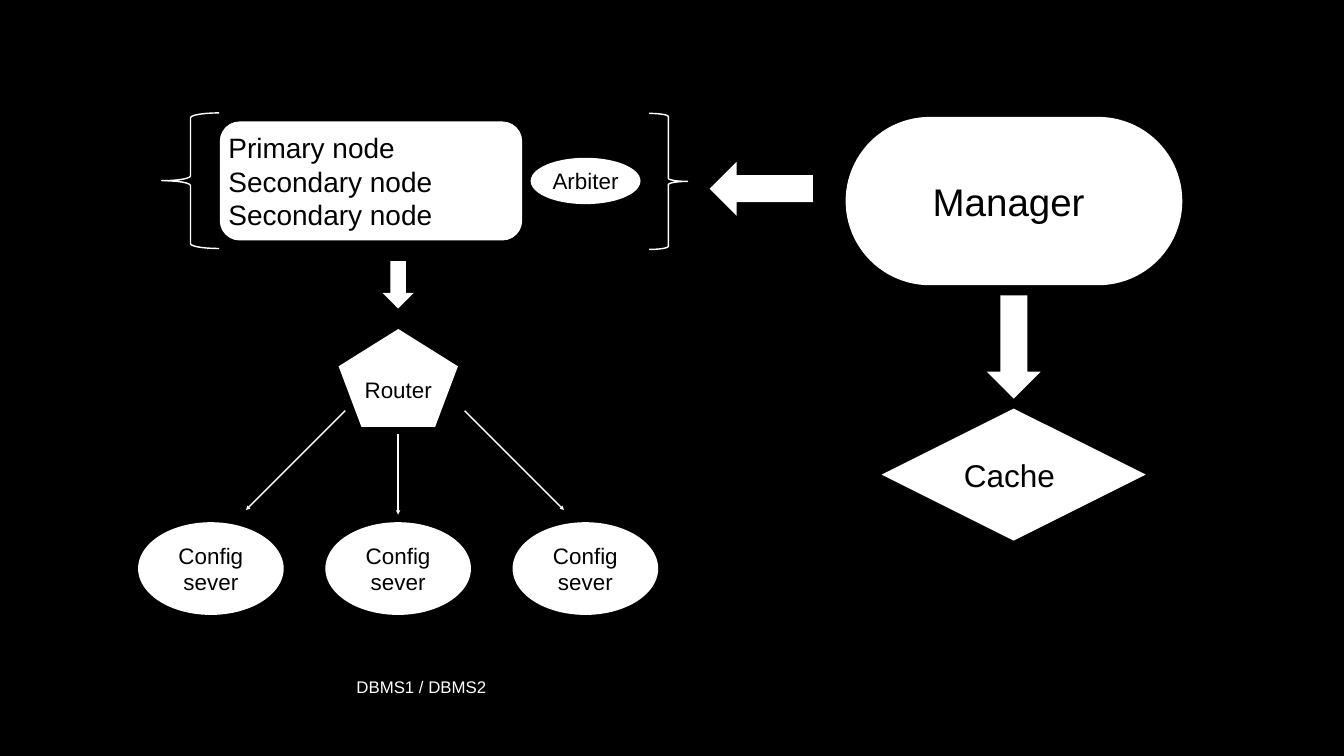
from dataclasses import dataclass

from lxml.etree import SubElement
from pptx import Presentation
from pptx.dml.color import RGBColor as RGB
from pptx.enum.shapes import MSO_CONNECTOR as Conn, MSO_SHAPE as Shape
from pptx.enum.text import MSO_ANCHOR as Anchor, PP_ALIGN as Align
from pptx.oxml.ns import qn
from pptx.slide import Slide
from pptx.util import Pt


@dataclass(frozen=True)
class Theme:
    font: str = "Arial"
    dark: RGB = RGB(0, 0, 0)
    light: RGB = RGB(255, 255, 255)
    manager: int = 55
    store: int = 45
    nodes: int = 40
    label: int = 32
    caption: int = 24
    stroke: int = 2
    inset: int = 4


@dataclass(frozen=True)
class Node:
    kind: Shape
    left: float
    top: float
    width: float
    height: float
    text: str = ""
    size: int = 0
    align: Align = Align.CENTER
    round: float | None = None
    rotation: int = 0
    outline: bool = False


@dataclass(frozen=True)
class Arrow:
    x1: float
    y1: float
    x2: float
    y2: float


THEME = Theme()

AXIS = 568.8
CONFIG_STEP, CONFIG_W = 267.5, 208
CONFIGS = [
    Node(Shape.OVAL, AXIS + i * CONFIG_STEP - CONFIG_W / 2, 746, CONFIG_W, 132.5,
         "Config sever", THEME.label)
    for i in (-1, 0, 1)
]

NODES = CONFIGS + [
    Node(Shape.REGULAR_PENTAGON, 483.7, 470, 170.6, 139.7, "Router", THEME.label),
    Node(Shape.ROUNDED_RECTANGLE, 1208, 167, 481, 240.5, "Manager ", THEME.manager, round=0.5),
    Node(Shape.DIAMOND, 1259.5, 583.7, 377.3, 188.6, "Cache ", THEME.store),
    Node(Shape.ROUNDED_RECTANGLE, 314, 173.5, 432, 170,
         "Primary node\nSecondary node\nSecondary node", THEME.nodes, Align.LEFT),
    Node(Shape.OVAL, 758, 225.4, 157, 66.2, "Arbiter", THEME.label),
    Node(Shape.DOWN_ARROW, 546.5, 373, 44.6, 67.7),
    Node(Shape.LEFT_BRACE, 231.1, 161.3, 82.1, 193.7, outline=True),
    Node(Shape.RIGHT_BRACE, 927.4, 162, 54.7, 194.4, outline=True),
    Node(Shape.DOWN_ARROW, 1049, 195.8, 77, 147.6, rotation=90),
    Node(Shape.DOWN_ARROW, 1409.8, 421.9, 77, 147.6),
]

ARROWS = [
    Arrow(493.2, 586.8, 351.4, 728.6),
    Arrow(AXIS, 620.6, AXIS, 735.1),
    Arrow(663.8, 586.8, 805.7, 728.6),
]


def write(sp, text: str, size: int, color: RGB, align: Align) -> None:
    tf = sp.text_frame
    inset = Pt(THEME.inset)
    frame = {"word_wrap": True, "vertical_anchor": Anchor.MIDDLE,
             "margin_left": inset, "margin_right": inset,
             "margin_top": inset, "margin_bottom": inset}
    for name, value in frame.items():
        setattr(tf, name, value)
    tf.text = text
    for p in tf.paragraphs:
        p.alignment = align
        for r in p.runs:
            for name, value in {"name": THEME.font, "size": Pt(size)}.items():
                setattr(r.font, name, value)
            r.font.color.rgb = color


def draw_node(s: Slide, node: Node) -> None:
    box = map(Pt, (node.left, node.top, node.width, node.height))
    sp = s.shapes.add_shape(node.kind, *box)
    sp.shadow.inherit = False
    sp.rotation = node.rotation
    if node.round is not None:
        sp.adjustments[0] = node.round
    if node.outline:
        sp.fill.background()
        sp.line.color.rgb = THEME.light
        sp.line.width = Pt(THEME.stroke)
    else:
        sp.fill.solid()
        sp.fill.fore_color.rgb = THEME.light
        sp.line.fill.background()
    if node.text:
        write(sp, node.text, node.size, THEME.dark, node.align)


def draw_arrow(s: Slide, arrow: Arrow) -> None:
    ends = map(Pt, (arrow.x1, arrow.y1, arrow.x2, arrow.y2))
    cxn = s.shapes.add_connector(Conn.STRAIGHT, *ends)
    cxn.line.color.rgb = THEME.light
    cxn.line.width = Pt(THEME.stroke)
    props = cxn.element.spPr
    SubElement(props.find(qn("a:ln")), qn("a:tailEnd"), type="triangle")
    SubElement(props, qn("a:effectLst"))


def build() -> None:
    prs = Presentation()
    prs.slide_width, prs.slide_height = Pt(1920), Pt(1080)
    s = prs.slides.add_slide(prs.slide_layouts[6])
    s.background.fill.solid()
    s.background.fill.fore_color.rgb = THEME.dark
    for arrow in ARROWS:
        draw_arrow(s, arrow)
    for node in NODES:
        draw_node(s, node)
    caption = s.shapes.add_textbox(Pt(471.6), Pt(962.6), Pt(260.6), Pt(37.4))
    write(caption, "DBMS1 / DBMS2", THEME.caption, THEME.light, Align.CENTER)
    prs.save("out.pptx")


build()
